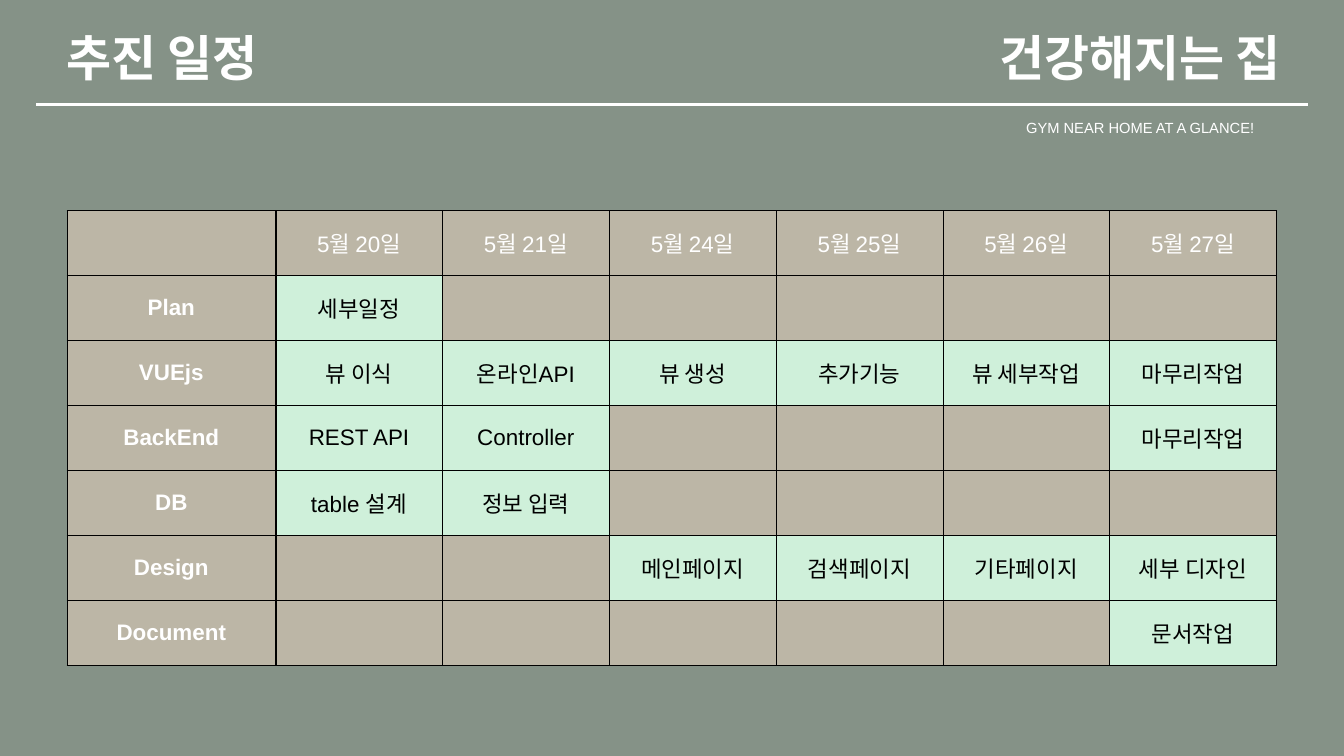
"""Build the project schedule slide."""
from lxml import etree
from pptx import Presentation
from pptx import util as u
from pptx.dml.color import RGBColor
from pptx.enum import shapes, text
from pptx.oxml.ns import qn

FONT = "Arial"
WHITE, BLACK = "FFFFFF", "000000"
BACKGROUND, SAND, MINT = "859287", "BCB6A6", "CFF0DA"
INSET = u.Inches(0.06)

SCHEDULE = [
    ["", "5월 20일", "5월 21일", "5월 24일", "5월 25일", "5월 26일", "5월 27일"],
    ["Plan", "세부일정", "", "", "", "", ""],
    ["VUEjs", "뷰 이식", "온라인API", "뷰 생성", "추가기능", "뷰 세부작업", "마무리작업"],
    ["BackEnd", "REST API", "Controller", "", "", "", "마무리작업"],
    ["DB", "table 설계", "정보 입력", "", "", "", ""],
    ["Design", "", "", "메인페이지", "검색페이지", "기타페이지", "세부 디자인"],
    ["Document", "", "", "", "", "", "문서작업"],
]


def rgb(value):
    """Return a colour from a hex string."""
    return RGBColor.from_string(value)


def format_text(tf, size, color, bold=False):
    """Centre the paragraphs and format their runs."""
    for p in tf.paragraphs:
        p.alignment = text.PP_ALIGN.CENTER
        for r in p.runs:
            r.font.name = FONT
            r.font.size = u.Pt(size)
            r.font.bold = bold
            r.font.color.rgb = rgb(color)


def fill_box(sp, box, content, size, bold=False):
    """Place a text shape and write its white, centred text."""
    sp.left, sp.top, sp.width, sp.height = (u.Inches(n) for n in box)
    tf = sp.text_frame
    tf.text = content
    tf.word_wrap = True
    tf.auto_size = text.MSO_AUTO_SIZE.SHAPE_TO_FIT_TEXT
    tf.vertical_anchor = text.MSO_ANCHOR.MIDDLE
    tf.margin_left = tf.margin_right = tf.margin_top = tf.margin_bottom = INSET
    format_text(tf, size, WHITE, bold)


def add_label(slide, box, content, size, bold=False):
    """Add a text box."""
    sp = slide.shapes.add_textbox(0, 0, 0, 0)
    fill_box(sp, box, content, size, bold)


def add_rule(slide, left, right, y):
    """Add the white line under the headings."""
    s = slide.shapes.add_connector(
        shapes.MSO_CONNECTOR.STRAIGHT,
        u.Inches(left), u.Inches(y), u.Inches(right), u.Inches(y))
    s.line.color.rgb = rgb(WHITE)
    s.line.width = u.Pt(5)
    etree.SubElement(s._element.spPr, qn("a:effectLst"))


def set_borders(cell, widths):
    """Draw black borders with the point widths given by side."""
    tc_pr = cell._tc.get_or_add_tcPr()
    for i, side in enumerate("LRTB"):
        ln = etree.Element(qn(f"a:ln{side}"), w=str(u.Pt(widths.get(side, 1))))
        solid = etree.SubElement(ln, qn("a:solidFill"))
        etree.SubElement(solid, qn("a:srgbClr"), val=BLACK)
        tc_pr.insert(i, ln)


def format_cell(cell, content, row, col):
    """Write and colour one cell by its place in the schedule."""
    is_task = bool(content) and row > 0 and col > 0
    cell.text = content
    cell.vertical_anchor = text.MSO_ANCHOR.MIDDLE
    cell.margin_left = cell.margin_right = INSET
    cell.margin_top = cell.margin_bottom = INSET
    cell.fill.solid()
    cell.fill.fore_color.rgb = rgb(MINT if is_task else SAND)
    format_text(cell.text_frame, 32, BLACK if is_task else WHITE, col == 0)
    set_borders(cell, {0: {"R": 3}, 1: {"L": 3}}.get(col, {}))


def add_schedule(slide, left, top):
    """Add the table of tasks by area and date."""
    widths = [4.14] + [3.31] * 6
    row_height = u.Inches(1.29)
    table = slide.shapes.add_table(
        len(SCHEDULE), len(widths), u.Inches(left), u.Inches(top),
        u.Inches(sum(widths)), row_height * len(SCHEDULE)).table
    table.first_row = table.horz_banding = False
    for column, width in zip(table.columns, widths):
        column.width = u.Inches(width)
    for i, row in enumerate(SCHEDULE):
        table.rows[i].height = row_height
        for j, content in enumerate(row):
            format_cell(table.cell(i, j), content, i, j)


def main():
    """Build and save the slide."""
    prs = Presentation()
    prs.slide_width, prs.slide_height = u.Inches(26.67), u.Inches(15)
    slide = prs.slides.add_slide(prs.slide_layouts[5])
    slide.background.fill.solid()
    slide.background.fill.fore_color.rgb = rgb(BACKGROUND)
    fill_box(slide.shapes.title, (-1.91, 0.39, 10.25, 1.46), "추진 일정", 70, True)
    add_label(slide, (17.5, 0.39, 10.25, 1.46), "건강해지는 집", 70, True)
    add_label(slide, (16.32, 2.29, 12.61, 0.5), "GYM NEAR HOME AT A GLANCE!", 21)
    add_rule(slide, 0.72, 25.95, 2.07)
    add_schedule(slide, 1.33, 4.18)
    prs.save("out.pptx")


if __name__ == "__main__":
    main()
